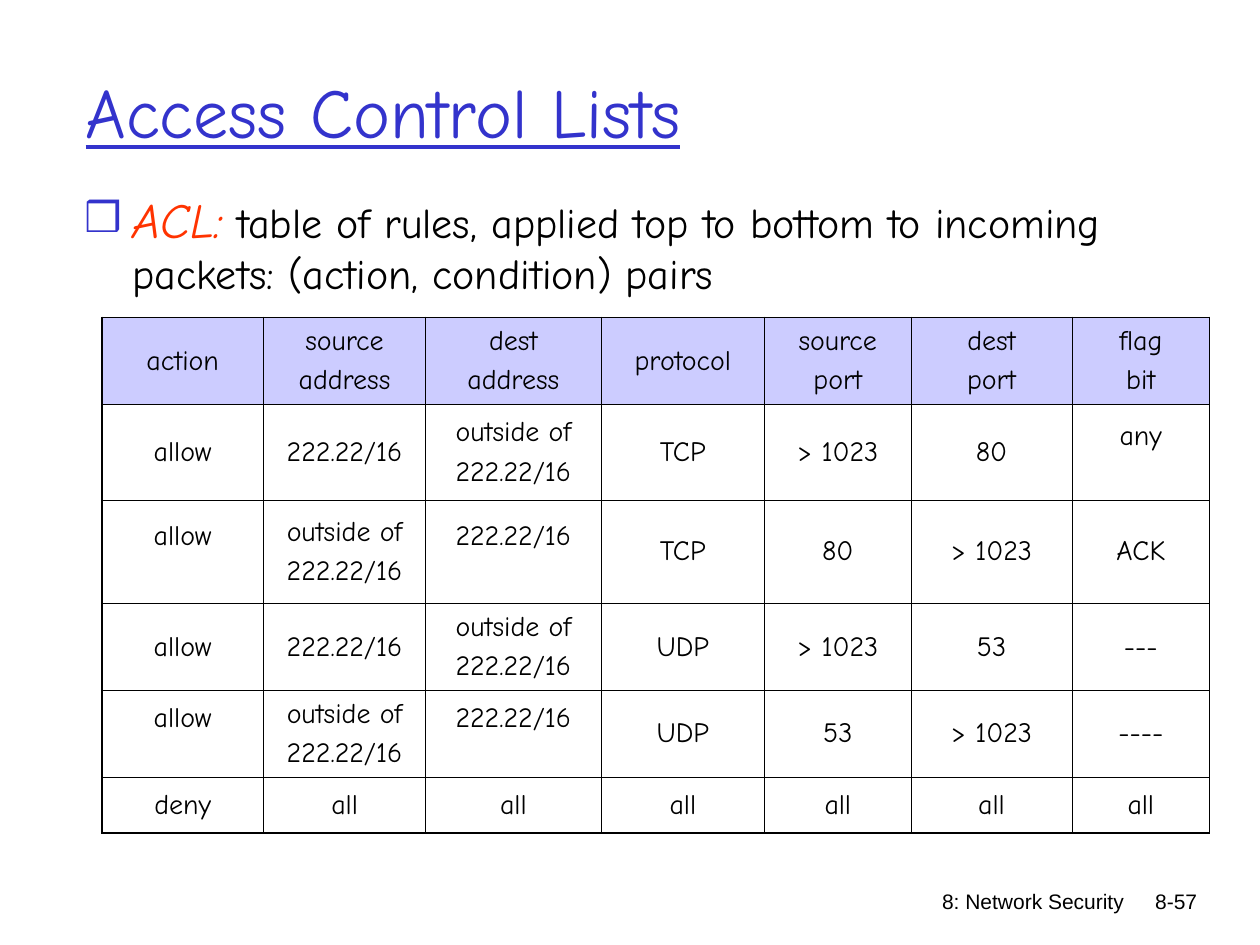
from lxml import etree
from pptx import Presentation
from pptx.dml.color import RGBColor
from pptx.enum.text import MSO_ANCHOR, MSO_AUTO_SIZE, PP_ALIGN
from pptx.oxml.ns import qn
from pptx.util import Inches, Pt

LEFT, CENTER, RIGHT = PP_ALIGN.LEFT, PP_ALIGN.CENTER, PP_ALIGN.RIGHT
TOP, MIDDLE = MSO_ANCHOR.TOP, MSO_ANCHOR.MIDDLE
NO_AUTOFIT = MSO_AUTO_SIZE.NONE

BLACK = RGBColor(0x00, 0x00, 0x00)
BLUE = RGBColor(0x33, 0x33, 0xCC)
RED = RGBColor(0xFF, 0x33, 0x00)
LAVENDER = RGBColor(0xCC, 0xCC, 0xFF)

HAND_FONT = "Comic Neue"
FOOTER_FONT = "Arial"
OUTER_LINE, INNER_LINE = 1.08, 0.45

COLUMN_WIDTHS = [1.28, 1.29, 1.39, 1.3, 1.16, 1.28, 1.09]
ROW_HEIGHTS = [0.69, 0.76, 0.82, 0.69, 0.69, 0.44]
RULES = [
    ["action", "source\naddress", "dest\naddress", "protocol",
     "source\nport", "dest\nport", "flag\nbit"],
    ["allow", "222.22/16", "outside of\n222.22/16", "TCP", "> 1023", "80", "any"],
    ["allow", "outside of\n222.22/16", "222.22/16", "TCP", "80", "> 1023", "ACK"],
    ["allow", "222.22/16", "outside of\n222.22/16", "UDP", "> 1023", "53", "---"],
    ["allow", "outside of\n222.22/16", "222.22/16", "UDP", "53", "> 1023", "----"],
    ["deny"] + ["all"] * 6,
]
# (row, column) of the cells whose text sits above the middle
RAISED_CELLS = {(1, 6), (2, 0), (2, 2), (4, 0), (4, 2)}


def add_run(para, text, size, color=BLACK, font=HAND_FONT, italic=False, underline=False):
    span = para.add_run()
    span.text = text
    span.font.name = font
    span.font.size = Pt(size)
    span.font.color.rgb = color
    span.font.italic = italic
    span.font.underline = underline


def place(shape, left, top, width, height):
    shape.left, shape.top = Inches(left), Inches(top)
    shape.width, shape.height = Inches(width), Inches(height)


def prepare_placeholder(shape, anchor):
    """Set the frame up and return its first paragraph, aligned left."""
    frame = shape.text_frame
    frame.auto_size = NO_AUTOFIT
    frame.word_wrap = True
    frame.vertical_anchor = anchor
    para = frame.paragraphs[0]
    para.alignment = LEFT
    para.space_before = Pt(0)
    return para


def set_bullet(para, character, color, percent, indent):
    props = para._p.get_or_add_pPr()
    props.set("marL", str(Inches(indent)))
    props.set("indent", str(-Inches(indent)))
    bullet_color = etree.SubElement(props, qn("a:buClr"))
    etree.SubElement(bullet_color, qn("a:srgbClr"), val=str(color))
    etree.SubElement(props, qn("a:buSzPct"), val=str(percent * 1000))
    etree.SubElement(props, qn("a:buChar"), char=character)


def fill_title(title):
    place(title, 0.58, 0.25, 8.5, 1.25)
    para = prepare_placeholder(title, MIDDLE)
    add_run(para, "Access Control Lists", 40, BLUE, underline=True)


def fill_body(body):
    place(body, 0.57, 1.4, 8.5, 1.11)
    para = prepare_placeholder(body, TOP)
    body.text_frame.margin_top = Inches(0.1)
    set_bullet(para, "❒", BLUE, 85, 0.38)
    add_run(para, "ACL:", 28, RED, italic=True)
    add_run(para, " table of rules, applied top to bottom to incoming "
                  "packets: (action, condition) pairs", 24)


def add_footer(page, text, left, top, width, height):
    box = page.shapes.add_textbox(Inches(left), Inches(top), Inches(width), Inches(height))
    box.text_frame.word_wrap = True
    para = box.text_frame.paragraphs[0]
    para.alignment = RIGHT
    add_run(para, text, 12, font=FOOTER_FONT)


def set_borders(cell, is_outer):
    """Draw the four sides; is_outer maps each of L, R, T, B to a bool."""
    props = cell._tc.get_or_add_tcPr()
    for side in "LRTB":
        width = Pt(OUTER_LINE if is_outer[side] else INNER_LINE)
        line = etree.SubElement(props, qn(f"a:ln{side}"), w=str(width))
        fill = etree.SubElement(line, qn("a:solidFill"))
        etree.SubElement(fill, qn("a:srgbClr"), val=str(BLACK))


def fill_cell(cell, text, raised):
    cell.vertical_anchor = MIDDLE
    cell.margin_bottom = Inches(0.3 if raised else 0.05)
    frame = cell.text_frame
    for index, line in enumerate(text.split("\n")):
        para = frame.add_paragraph() if index else frame.paragraphs[0]
        para.alignment = CENTER
        if index:
            para.space_before = Pt(4)
        add_run(para, line, 16)


def add_rules_table(page):
    last_row, last_column = len(ROW_HEIGHTS) - 1, len(COLUMN_WIDTHS) - 1
    table = page.shapes.add_table(
        len(ROW_HEIGHTS), len(COLUMN_WIDTHS), Inches(0.81), Inches(2.52),
        Inches(sum(COLUMN_WIDTHS)), Inches(sum(ROW_HEIGHTS))).table
    table.first_row = table.horz_banding = False
    for column, width in zip(table.columns, COLUMN_WIDTHS):
        column.width = Inches(width)
    for row, height in zip(table.rows, ROW_HEIGHTS):
        row.height = Inches(height)
    for r, texts in enumerate(RULES):
        for c, text in enumerate(texts):
            cell = table.cell(r, c)
            fill_cell(cell, text, (r, c) in RAISED_CELLS)
            set_borders(cell, {"L": c == 0, "R": c == last_column,
                               "T": r == 0, "B": r == last_row})
            if r == 0:
                cell.fill.solid()
                cell.fill.fore_color.rgb = LAVENDER
            else:
                cell.fill.background()


def main():
    deck = Presentation()
    deck.slide_width, deck.slide_height = Inches(10), Inches(7.5)
    page = deck.slides.add_slide(deck.slide_layouts[1])
    fill_title(page.shapes.title)
    fill_body(page.placeholders[1])
    add_rules_table(page)
    add_footer(page, "8: Network Security", 5.85, 7, 3.17, 0.5)
    add_footer(page, "8-57", 8.8, 7, 0.8, 0.32)
    deck.save("out.pptx")


if __name__ == "__main__":
    main()
